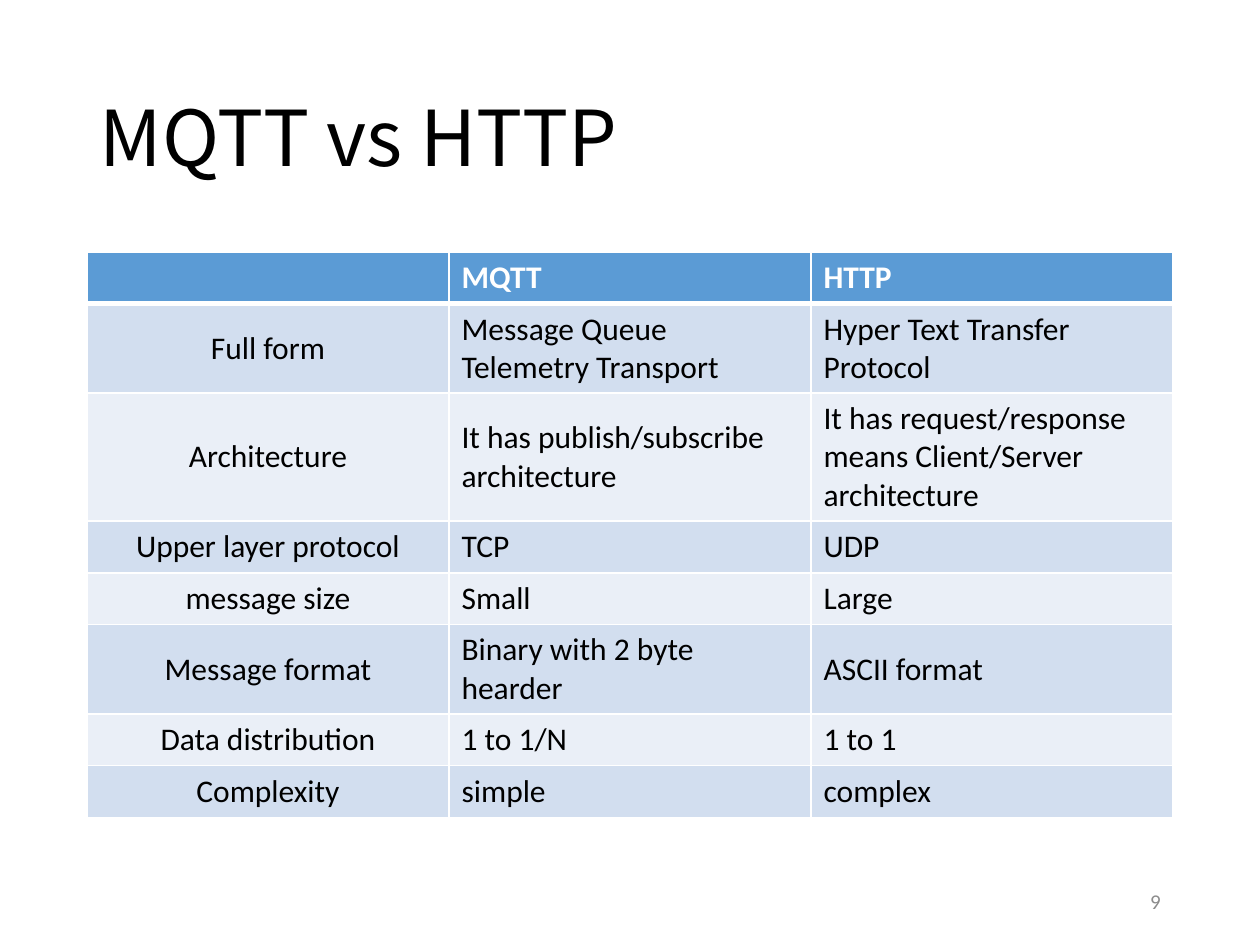
from dataclasses import dataclass

from lxml import etree
from pptx import Presentation
from pptx.dml.color import RGBColor
from pptx.enum.text import MSO_ANCHOR, PP_ALIGN
from pptx.oxml.ns import qn
from pptx.util import Inches, Pt

TOP, MIDDLE = MSO_ANCHOR.TOP, MSO_ANCHOR.MIDDLE
LEFT, CENTER, RIGHT = PP_ALIGN.LEFT, PP_ALIGN.CENTER, PP_ALIGN.RIGHT
TITLE_ONLY_LAYOUT = 5


@dataclass(frozen=True)
class Theme:
    title_font: str = "Noto Sans CJK SC"
    body_font: str = "Calibri"
    title_size: int = 44
    table_size: int = 18
    number_size: int = 12
    text: str = "000000"
    number: str = "8C8C8C"
    header: str = "5B9BD5"
    header_text: str = "FFFFFF"
    border: str = "FFFFFF"
    bands: tuple = ("D2DEEF", "EAEFF7")
    thin_border: int = 1
    thick_border: int = 3


ROWS = [
    ("", "MQTT", "HTTP"),
    ("Full form", "Message Queue Telemetry Transport", "Hyper Text Transfer Protocol"),
    (
        "Architecture",
        "It has publish/subscribe architecture",
        "It has request/response means Client/Server architecture",
    ),
    ("Upper layer protocol", "TCP", "UDP"),
    ("message size", "Small", "Large"),
    ("Message format", "Binary with 2 byte hearder", "ASCII format"),
    ("Data distribution", "1 to 1/N", "1 to 1"),
    ("Complexity", "simple", "complex"),
]


class SlideBuilder:
    def __init__(self, slide, theme):
        self.slide = slide
        self.theme = theme

    def add_text(self, text_frame, text, color, alignment=LEFT, line_spacing=None, **font_values):
        paragraph = text_frame.paragraphs[0]
        paragraph.alignment = alignment
        paragraph.line_spacing = line_spacing
        if not text:
            return
        run = paragraph.add_run()
        run.text = text
        for name, value in font_values.items():
            setattr(run.font, name, value)
        run.font.color.rgb = RGBColor.from_string(color)

    def title(self, text, left, top, width, height):
        shape = self.slide.shapes.title
        position = {"left": left, "top": top, "width": width, "height": height}
        for name, value in position.items():
            setattr(shape, name, Inches(value))
        shape.text_frame.vertical_anchor = MIDDLE
        self.add_text(
            shape.text_frame, text, self.theme.text, line_spacing=0.9,
            name=self.theme.title_font, size=Pt(self.theme.title_size),
        )

    def slide_number(self, text, left, top, width, height):
        shape = self.slide.shapes.add_textbox(*map(Inches, (left, top, width, height)))
        shape.text_frame.word_wrap = True
        shape.text_frame.vertical_anchor = MIDDLE
        self.add_text(
            shape.text_frame, text, self.theme.number, RIGHT,
            name=self.theme.body_font, size=Pt(self.theme.number_size),
        )

    def borders(self, cell, top, bottom):
        properties = cell._tc.get_or_add_tcPr()
        thin = self.theme.thin_border
        for side, width in {"L": thin, "R": thin, "T": top, "B": bottom}.items():
            line = etree.SubElement(properties, qn(f"a:ln{side}"), w=str(Pt(width)))
            fill = etree.SubElement(line, qn("a:solidFill"))
            etree.SubElement(fill, qn("a:srgbClr"), val=self.theme.border)

    def table(self, rows, left, top, width, row_height):
        theme = self.theme
        column_count = len(rows[0])
        frame = self.slide.shapes.add_table(
            len(rows), column_count,
            *map(Inches, (left, top, width, row_height * len(rows))),
        )
        table = frame.table
        for column in table.columns:
            column.width = Inches(width / column_count)
        for row_index, row in enumerate(rows):
            table.rows[row_index].height = Inches(row_height)
            is_header = row_index == 0
            fill = theme.header if is_header else theme.bands[(row_index - 1) % 2]
            top_border = theme.thick_border if row_index == 1 else theme.thin_border
            bottom_border = theme.thick_border if is_header else theme.thin_border
            for column_index, text in enumerate(row):
                cell = table.cell(row_index, column_index)
                self.borders(cell, top_border, bottom_border)
                cell.fill.solid()
                cell.fill.fore_color.rgb = RGBColor.from_string(fill)
                cell.vertical_anchor = TOP if is_header else MIDDLE
                self.add_text(
                    cell.text_frame, text,
                    theme.header_text if is_header else theme.text,
                    CENTER if column_index == 0 else LEFT,
                    name=theme.body_font, size=Pt(theme.table_size), bold=is_header,
                )


def main():
    presentation = Presentation()
    presentation.slide_width = Inches(10)
    presentation.slide_height = Inches(7.5)
    slide = presentation.slides.add_slide(presentation.slide_layouts[TITLE_ONLY_LAYOUT])
    builder = SlideBuilder(slide, Theme())
    builder.title("MQTT vs HTTP", 0.69, 0.4, 8.62, 1.45)
    builder.table(ROWS, 0.69, 2, 8.62, 0.41)
    builder.slide_number("9", 7.06, 6.95, 2.25, 0.4)
    presentation.save("out.pptx")


if __name__ == "__main__":
    main()
